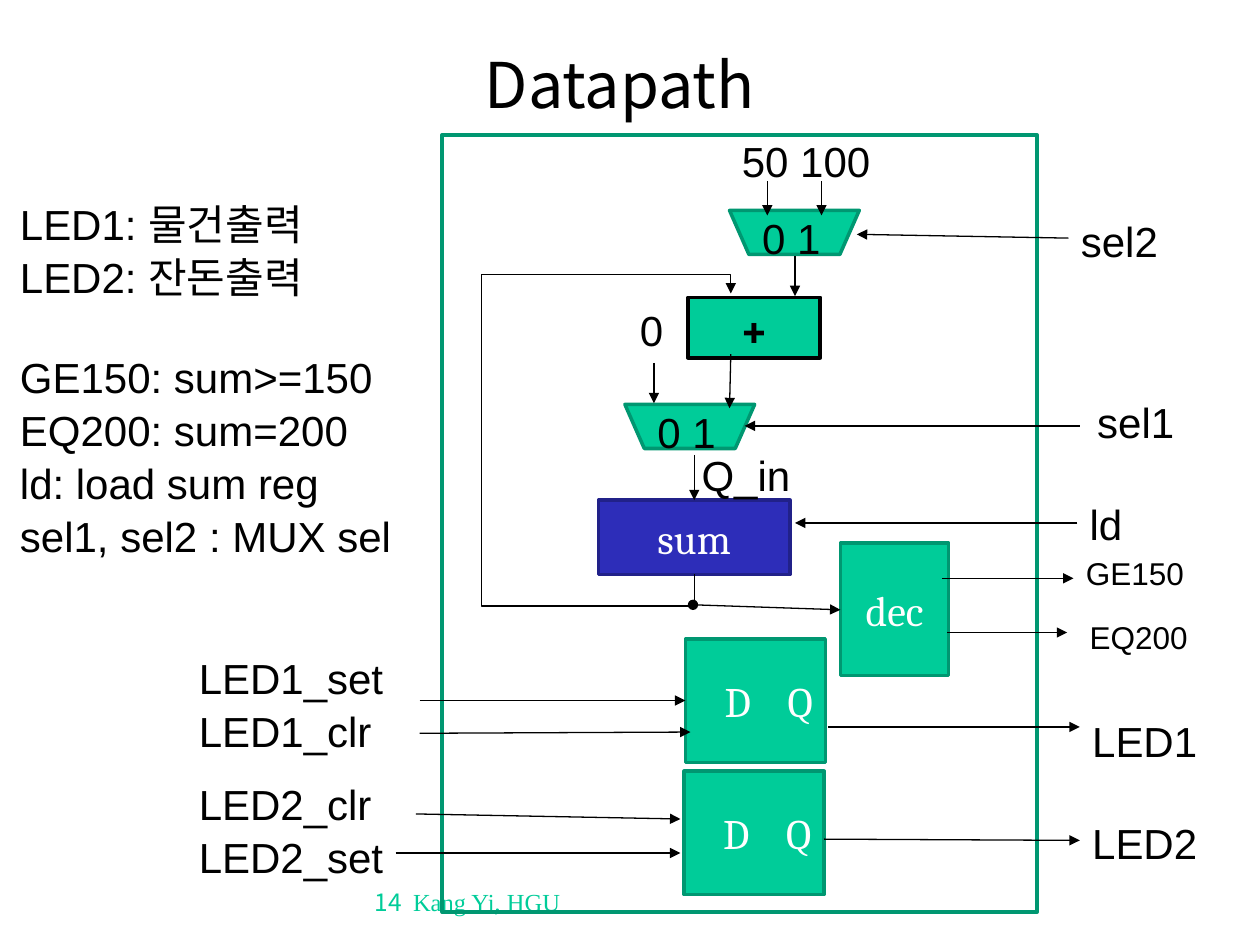
from dataclasses import dataclass
from typing import Any

from lxml import etree
from pptx import Presentation
from pptx import util as u
from pptx.dml import color
from pptx.enum import shapes, text
from pptx.oxml import ns


@dataclass(frozen=True)
class Theme:
    ink: str = "000000"
    paper: str = "FFFFFF"
    green: str = "00CC99"
    edge: str = "009771"
    blue: str = "2D2DB9"
    navy: str = "212189"
    sans: str = "Arial"
    serif: str = "Cambria"
    heading: str = "Noto Sans CJK KR"
    footer: str = "Times New Roman"
    title: float = 36
    symbol: float = 28
    body: float = 24
    small: float = 18
    note: float = 14
    outline: float = 2
    wire: float = 0.75
    spacing: float = 1.05


THEME = Theme()
CENTER = text.PP_ALIGN.CENTER
LEFT = text.PP_ALIGN.LEFT


@dataclass(frozen=True)
class Label:
    wording: str
    left: float
    top: float
    width: float
    height: float = 0.5
    size: float = THEME.body


@dataclass(frozen=True)
class Block:
    wording: str
    left: float
    top: float
    width: float
    height: float
    fill: str | None = THEME.green
    edge: str = THEME.edge
    ink: str = THEME.paper
    size: float = THEME.body
    bold: bool = False


@dataclass(frozen=True)
class Wire:
    start: tuple[float, float]
    end: tuple[float, float]
    head: str | None = None


LABELS = [
    Label("50 100", 5.79, 1.01, 1.23),
    Label("0", 4.98, 2.35, 0.39),
    Label("sel2", 8.48, 1.64, 0.86),
    Label("sel1", 8.61, 3.08, 0.86),
    Label("ld", 8.55, 3.89, 0.86),
    Label("GE150", 8.52, 4.33, 0.99, 0.4, THEME.small),
    Label("EQ200", 8.55, 4.84, 0.99, 0.4, THEME.small),
    Label("LED1", 8.57, 5.61, 1.33),
    Label("LED2", 8.57, 6.42, 1.33),
    Label("LED1_set\nLED1_clr", 1.48, 5.11, 1.86, 0.91),
    Label("LED2_clr\nLED2_set", 1.48, 6.11, 1.86, 0.91),
    Label("Q_in", 5.47, 3.5, 1.9),
    Label("LED1: 물건출력\nLED2: 잔돈출력", 0.06, 1.51, 3.18, 0.91),
    Label("GE150: sum>=150\nEQ200: sum=200\nld: load sum reg\nsel1, sel2 : MUX sel",
          0.06, 2.72, 3.18, 1.72),
]
BLOCKS = [
    Block("", 3.51, 1.07, 4.72, 6.17, fill=None),
    Block("sum", 4.75, 3.97, 1.52, 0.59, THEME.blue, THEME.navy),
    Block("+", 5.46, 2.36, 1.05, 0.48, edge=THEME.ink, ink=THEME.ink,
          size=THEME.symbol, bold=True),
    Block("dec", 6.67, 4.31, 0.86, 1.05),
]
FLIP_FLOPS = [Block("D\tQ", left, top, 1.11, 0.98) for left, top in ((5.44, 5.07), (5.43, 6.12))]
MUXES = [(4.96, 3.21), (5.79, 1.67)]
WIRES = [
    Wire((5.51, 3.61), (5.51, 3.97)),
    Wire((6.31, 2.03), (6.31, 2.35)),
    Wire((5.8, 2.81), (5.79, 3.24)),
    Wire((6.09, 1.44), (6.09, 1.71)),
    Wire((6.52, 1.44), (6.52, 1.71)),
    Wire((8.48, 1.89), (6.8, 1.86)),
    Wire((8.57, 3.38), (5.91, 3.38)),
    Wire((5.19, 2.88), (5.19, 3.2)),
    Wire((5.5, 4.8), (6.67, 4.84), head="oval"),
    Wire((7.48, 4.59), (8.52, 4.59)),
    Wire((7.52, 5.02), (8.47, 5.02)),
    Wire((8.55, 4.15), (6.31, 4.15)),
    Wire((3.33, 5.56), (5.44, 5.56)),
    Wire((3.33, 5.82), (5.48, 5.81)),
    Wire((3.3, 6.46), (5.4, 6.5)),
    Wire((3.14, 6.77), (5.4, 6.77)),
    Wire((6.57, 5.77), (8.57, 5.77)),
    Wire((6.54, 6.66), (8.57, 6.67)),
]
FEEDBACK = [(5.51, 4.56), (5.51, 4.81), (3.82, 4.81), (3.82, 2.18), (5.8, 2.18), (5.8, 2.33)]


def inches(*values: float) -> list[u.Length]:
    return [u.Inches(value) for value in values]


def apply(target: Any, values: dict[str, Any]) -> None:
    for name, value in values.items():
        setattr(target, name, value)


def add_span(para: Any, wording: str, font: str, size: float, ink: str, bold: bool = False) -> None:
    span = para.add_run()
    span.text = wording
    apply(span.font, {"name": font, "size": u.Pt(size), "bold": bold})
    span.font.color.rgb = color.RGBColor.from_string(ink)
    etree.SubElement(span.font._element, ns.qn("a:ea"), typeface=font)


def add_text(page: Any, label: Label, font: str = THEME.sans, align: Any = LEFT,
             spacing: float = THEME.spacing) -> Any:
    box = page.shapes.add_textbox(*inches(label.left, label.top, label.width, label.height))
    apply(box.text_frame, {"word_wrap": True, "margin_right": 0})
    for index, line in enumerate(label.wording.split("\n")):
        para = box.text_frame.add_paragraph() if index else box.text_frame.paragraphs[0]
        apply(para, {"alignment": align, "line_spacing": spacing})
        add_span(para, line, font, label.size, THEME.ink)
    return box


def set_outline(shape: Any, ink: str, width: float) -> None:
    shape.line.color.rgb = color.RGBColor.from_string(ink)
    shape.line.width = u.Pt(width)


def add_block(page: Any, block: Block, preset: Any = shapes.MSO_SHAPE.FLOWCHART_PROCESS) -> Any:
    shape = page.shapes.add_shape(
        preset, *inches(block.left, block.top, block.width, block.height))
    shape.shadow.inherit = False
    if block.fill:
        shape.fill.solid()
        shape.fill.fore_color.rgb = color.RGBColor.from_string(block.fill)
    else:
        shape.fill.background()
    set_outline(shape, block.edge, THEME.outline)
    if block.wording:
        shape.text_frame.vertical_anchor = text.MSO_ANCHOR.MIDDLE
        para = shape.text_frame.paragraphs[0]
        para.alignment = CENTER
        add_span(para, block.wording, THEME.serif, block.size, block.ink, block.bold)
    return shape


def add_flip_flop(page: Any, block: Block) -> None:
    frame = add_block(page, block).text_frame
    apply(frame, {"margin_left": u.Inches(0.31), "margin_right": 0})
    para = frame.paragraphs[0]
    para.alignment = LEFT
    stops = etree.SubElement(para._p.get_or_add_pPr(), ns.qn("a:tabLst"))
    etree.SubElement(stops, ns.qn("a:tab"), pos=str(u.Inches(0.5)), algn="l")


def add_mux(page: Any, left: float, top: float) -> None:
    shape = add_block(page, Block("", left, top, 1.03, 0.35), shapes.MSO_SHAPE.TRAPEZOID)
    shape.adjustments[0] = 0.44
    shape._element.spPr.find(ns.qn("a:xfrm")).set("flipV", "1")
    add_text(page, Label("0 1", left + 0.16, top - 0.05, 0.67))


def add_arrowheads(shape: Any, head: str | None = None) -> None:
    set_outline(shape, THEME.ink, THEME.wire)
    line = shape.line._get_or_add_ln()
    if head:
        etree.SubElement(line, ns.qn("a:headEnd"), type=head)
    etree.SubElement(line, ns.qn("a:tailEnd"), type="triangle")


def add_wire(page: Any, wire: Wire) -> None:
    connector = page.shapes.add_connector(
        shapes.MSO_CONNECTOR.STRAIGHT, *inches(*wire.start, *wire.end))
    add_arrowheads(connector, wire.head)
    etree.SubElement(connector._element.spPr, ns.qn("a:effectLst"))


def add_feedback(page: Any) -> None:
    first, *rest = [tuple(inches(*point)) for point in FEEDBACK]
    builder = page.shapes.build_freeform(*first)
    builder.add_line_segments(rest, close=False)
    shape = builder.convert_to_shape()
    shape.shadow.inherit = False
    shape.fill.background()
    add_arrowheads(shape)


def main() -> None:
    deck = Presentation()
    apply(deck, {"slide_width": u.Inches(10), "slide_height": u.Inches(7.5)})
    page = deck.slides.add_slide(deck.slide_layouts[6])
    title = add_text(page, Label("Datapath", 0.67, 0.25, 8.5, 0.83, THEME.title),
                     THEME.heading, CENTER, 1.0)
    apply(title.text_frame, {"vertical_anchor": text.MSO_ANCHOR.MIDDLE,
                             "margin_right": u.Inches(0.1)})
    footer = page.shapes.add_textbox(*inches(2.67, 6.99, 2.08, 0.33))
    footer.text_frame.word_wrap = True
    para = footer.text_frame.paragraphs[0]
    para.alignment = CENTER
    add_span(para, "14  ", THEME.heading, THEME.note, THEME.green)
    add_span(para, "Kang Yi, HGU", THEME.footer, THEME.note, THEME.green)
    for block in BLOCKS:
        add_block(page, block)
    for block in FLIP_FLOPS:
        add_flip_flop(page, block)
    for left, top in MUXES:
        add_mux(page, left, top)
    for label in LABELS:
        add_text(page, label)
    for wire in WIRES:
        add_wire(page, wire)
    add_feedback(page)
    deck.save("out.pptx")


if __name__ == "__main__":
    main()
